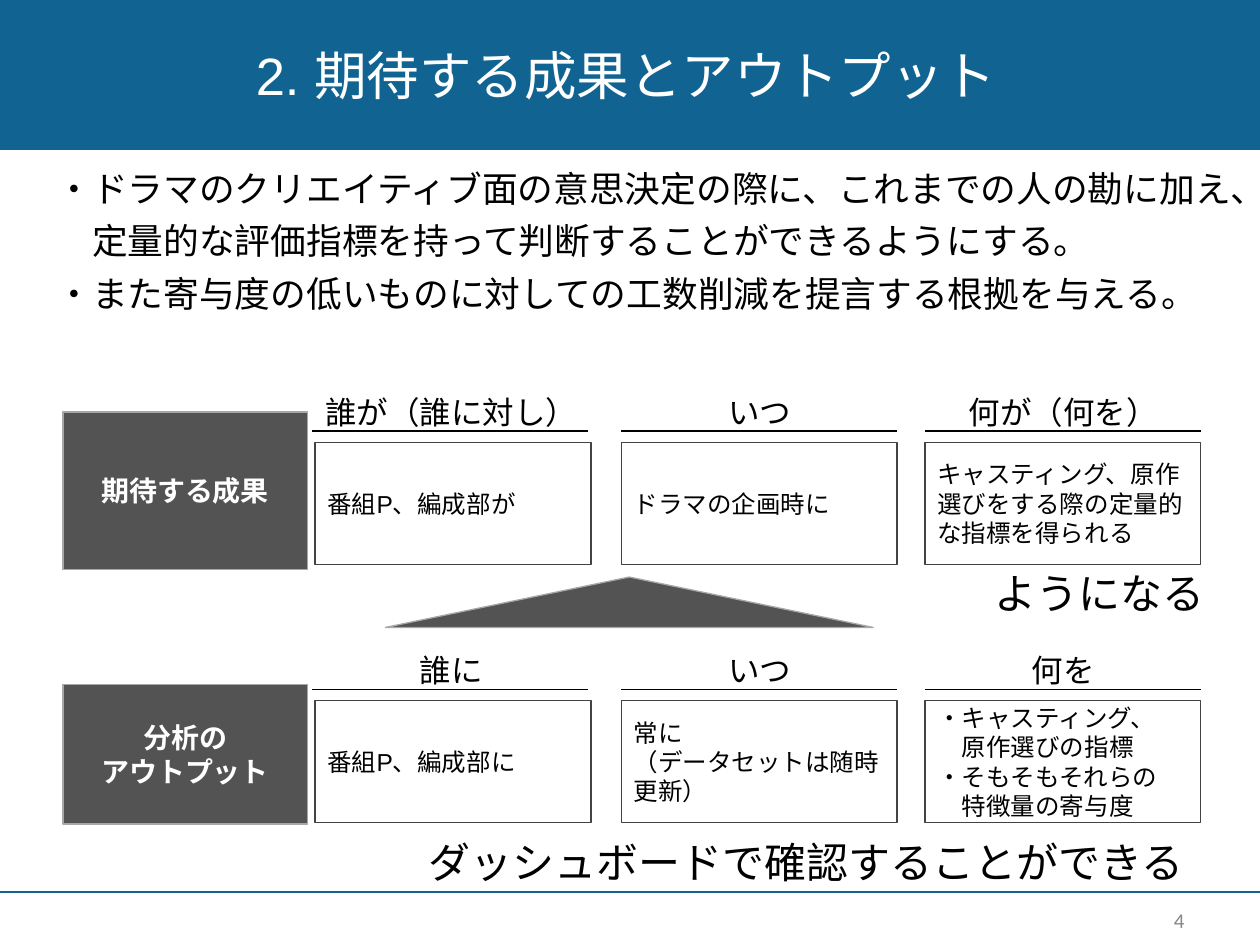
from copy import deepcopy

from lxml.etree import SubElement
from pptx import Presentation
from pptx.dml.color import RGBColor
from pptx.enum.shapes import MSO_CONNECTOR, MSO_SHAPE
from pptx.enum.text import MSO_ANCHOR, PP_ALIGN
from pptx.oxml.ns import qn
from pptx.util import Inches, Pt

COLORS = {
    "blue": "116492", "dark": "535353", "edge": "A7A7A7", "frame": "434343",
    "black": "000000", "white": "FFFFFF", "grey": "888888",
}
JAPANESE = "Noto Sans CJK JP"


class SlideBuilder:
    """Holds the style and the current slide."""

    def __init__(self, slide, font="Arial", inset=0.1, line_width=0.75):
        self.slide = slide
        self.font = font
        self.inset = inset
        self.line_width = line_width

    def color(self, name):
        return RGBColor.from_string(COLORS[name])

    def fill_text(self, shape, paragraphs, size, color="black", font=None, bold=False,
                  anchor=MSO_ANCHOR.TOP, inset_y=None, **paragraph_format):
        frame = shape.text_frame
        inset = Inches(self.inset)
        vertical = inset if inset_y is None else Inches(inset_y)
        frame_format = {
            "word_wrap": True, "vertical_anchor": anchor,
            "margin_left": inset, "margin_right": inset,
            "margin_top": vertical, "margin_bottom": vertical,
        }
        for name, value in frame_format.items():
            setattr(frame, name, value)
        frame.text = "\n".join(paragraphs)
        paragraph_format = {"alignment": PP_ALIGN.LEFT, **paragraph_format}
        font_format = {"name": font or self.font, "size": Pt(size), "bold": bold}
        for paragraph in frame.paragraphs:
            for name, value in paragraph_format.items():
                setattr(paragraph, name, value)
            for run in paragraph.runs:
                for name, value in font_format.items():
                    setattr(run.font, name, value)
                run.font.color.rgb = self.color(color)
                properties = run._r.get_or_add_rPr()
                SubElement(properties, qn("a:ea")).set("typeface", font_format["name"])
            # Line breaks take the size of the text around them
            for line_break in paragraph._p.findall(qn("a:br")):
                line_break.append(deepcopy(properties))

    def text(self, box, paragraphs, size, **style):
        shape = self.slide.shapes.add_textbox(*map(Inches, box))
        self.fill_text(shape, paragraphs, size, **style)
        return shape

    def shape(self, box, fill=None, line=None, kind=MSO_SHAPE.RECTANGLE):
        shape = self.slide.shapes.add_shape(kind, *map(Inches, box))
        shape.shadow.inherit = False
        if fill:
            shape.fill.solid()
            shape.fill.fore_color.rgb = self.color(fill)
        else:
            shape.fill.background()
        if line:
            shape.line.color.rgb = self.color(line)
            shape.line.width = Pt(self.line_width)
        else:
            shape.line.fill.background()
        return shape

    def rule(self, left, top, width, color="black"):
        ends = map(Inches, (left, top, left + width, top))
        line = self.slide.shapes.add_connector(MSO_CONNECTOR.STRAIGHT, *ends)
        line.line.color.rgb = self.color(color)
        line.line.width = Pt(self.line_width)
        SubElement(line._element.spPr, qn("a:effectLst"))

    def label(self, top, height, paragraphs):
        shape = self.shape((0.5, top, 1.94, height), "dark", "edge")
        self.fill_text(shape, paragraphs, 16, color="white", font=JAPANESE, bold=True,
                       anchor=MSO_ANCHOR.MIDDLE, alignment=PP_ALIGN.CENTER)

    def column(self, rule_left, box_left, top, heading, paragraphs):
        width = 2.19
        self.rule(rule_left, top + 0.4, width)
        self.text((rule_left - 0.04, top, 2.28, 0.4), [heading], 18,
                  alignment=PP_ALIGN.CENTER)
        shape = self.shape((box_left, top + 0.49, width, 0.97), line="frame")
        self.fill_text(shape, paragraphs, 14, anchor=MSO_ANCHOR.MIDDLE)


presentation = Presentation()
presentation.slide_width = Inches(10)
presentation.slide_height = Inches(7.5)
slide = presentation.slides.add_slide(presentation.slide_layouts[6])
builder = SlideBuilder(slide)

# Title band and footer
builder.shape((0, 0, 10, 1.19), "blue")
builder.rule(0, 7.08, 10, "blue")
builder.text((0.16, 0.11, 9.62, 0.97), ["2. 期待する成果とアウトプット"], 30,
             color="white", anchor=MSO_ANCHOR.MIDDLE,
             alignment=PP_ALIGN.CENTER, space_before=Pt(7.2))
builder.text((7.17, 7.1, 2.33, 0.4), ["4"], 12, color="grey", font="Calibri",
             anchor=MSO_ANCHOR.MIDDLE, inset_y=0.05, alignment=PP_ALIGN.RIGHT)

# Introduction
introduction = builder.text(
    (0.07, 1.26, 9.93, 1.3),
    ["・ドラマのクリエイティブ面の意思決定の際に、これまでの人の勘に加え、",
     "　定量的な評価指標を持って判断することができるようにする。",
     "・また寄与度の低いものに対しての工数削減を提言する根拠を与える。"],
    20.4, font=JAPANESE, line_spacing=0.9, space_before=Pt(8))
for paragraph in introduction.text_frame.paragraphs:
    properties = paragraph._p.get_or_add_pPr()
    properties.set("marL", str(Inches(0.28)))
    properties.set("indent", "0")

# Rows of outcomes and outputs
COLUMNS = [(2.48, 2.5), (4.93, 4.93), (7.34, 7.34)]
ROWS = [
    (3.02, [
        ("誰が（誰に対し）", ["番組P、編成部が"]),
        ("いつ", ["ドラマの企画時に"]),
        ("何が（何を）", ["キャスティング、原作選びをする際の定量的な指標を得られる"]),
    ]),
    (5.07, [
        ("誰に", ["番組P、編成部に"]),
        ("いつ", ["常に\v（データセットは随時更新）"]),
        ("何を", ["・キャスティング、", "　原作選びの指標",
                "・そもそもそれらの", "　特徴量の寄与度"]),
    ]),
]
for top, cells in ROWS:
    for (rule_left, box_left), (heading, paragraphs) in zip(COLUMNS, cells):
        builder.column(rule_left, box_left, top, heading, paragraphs)

# Row labels and the pointer between them
builder.label(3.27, 1.25, ["期待する成果"])
builder.label(5.43, 1.11, ["分析の", "アウトプット"])
builder.shape((3.06, 4.58, 3.87, 0.4), "dark", "edge", MSO_SHAPE.ISOSCELES_TRIANGLE)

# Closing phrases
for left, top, phrase in [(1.02, 4.4, "ようになる"),
                          (0.85, 6.54, "ダッシュボードで確認することができる")]:
    builder.text((left, top, 8.64, 0.52), [phrase], 24, alignment=PP_ALIGN.RIGHT)

presentation.save("out.pptx")
